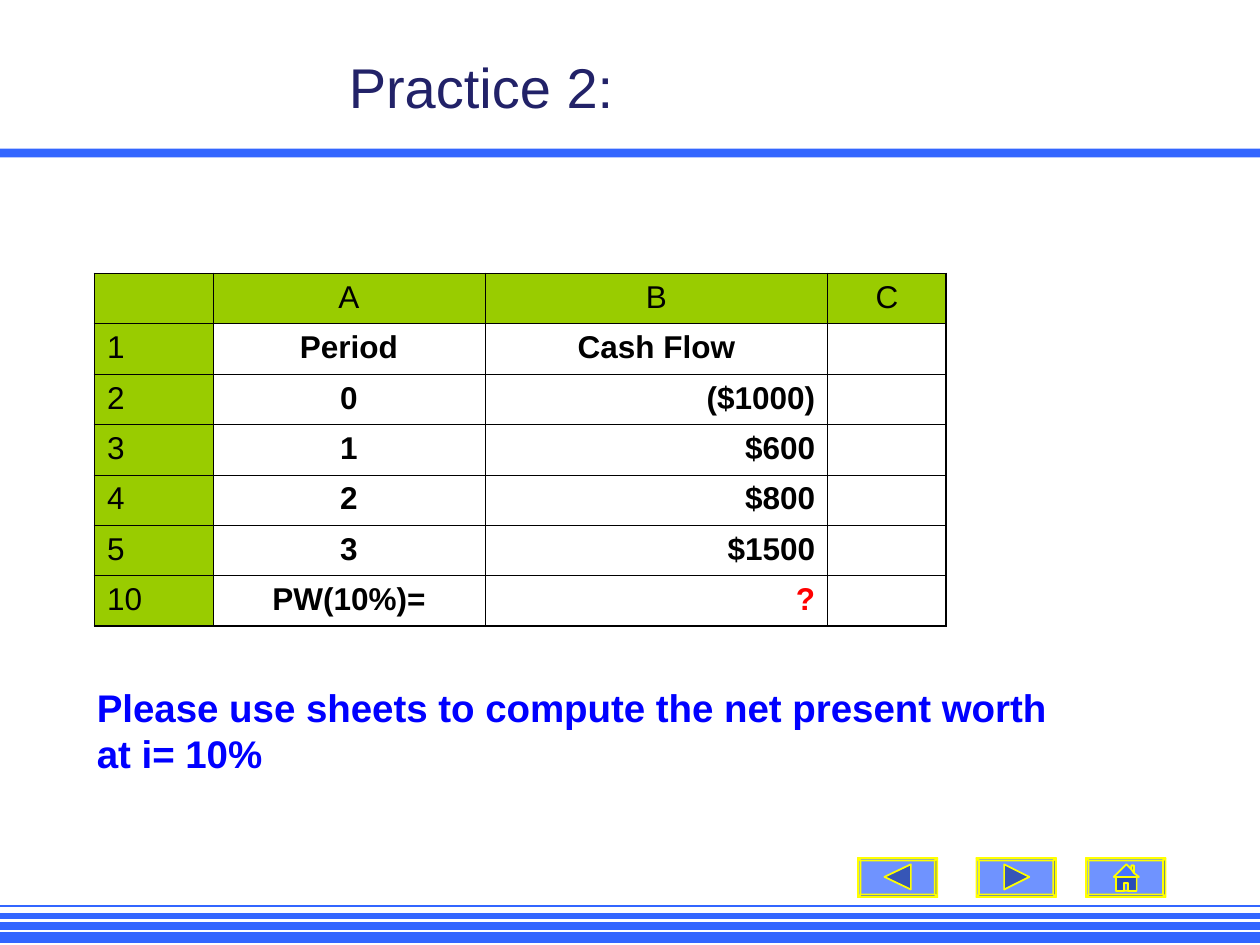
from copy import deepcopy

from lxml import etree
from pptx import Presentation
from pptx.dml.color import RGBColor
from pptx.enum.shapes import MSO_CONNECTOR as Connector, MSO_SHAPE as Shape
from pptx.enum.text import MSO_ANCHOR as Anchor, PP_ALIGN as Align
from pptx.oxml.ns import qn
from pptx.util import Inches, Pt

BLUE = RGBColor(0x33, 0x66, 0xFF)
YELLOW = RGBColor(0xFF, 0xFF, 0x00)
GREEN = RGBColor(0x99, 0xCC, 0x00)
NAVY = RGBColor(0x22, 0x22, 0x68)
TEXT_BLUE = RGBColor(0x00, 0x00, 0xFF)
BLACK = RGBColor(0x00, 0x00, 0x00)
RED = RGBColor(0xFF, 0x00, 0x00)

deck = Presentation()
deck.slide_width, deck.slide_height = Inches(10), Inches(7.5)
page = deck.slides.add_slide(deck.slide_layouts[6])
COL = deck.slide_width // 100
ROW = deck.slide_height // 75


def grid(left, top, width, height):
    return [round(n) for n in (left * COL, top * ROW, width * COL, height * ROW)]


def add_text(place, lines, size, color, bold, anchor):
    box = page.shapes.add_textbox(*grid(*place))
    frame = box.text_frame
    frame.word_wrap = True
    frame.vertical_anchor = anchor
    frame.text = "\n".join(lines)
    for para in frame.paragraphs:
        para.font.name, para.font.size = "Arial", Pt(size)
        para.font.bold, para.font.color.rgb = bold, color


# Bar under the title
bar = page.shapes.add_shape(Shape.RECTANGLE, *grid(0, 11.8, 100, 0.7))
bar.shadow.inherit = False
bar.fill.solid()
bar.fill.fore_color.rgb = BLUE
bar.line.fill.background()

# Footer stripes
for top, weight in ((74.4, 6), (73.5, 4.5), (72.7, 3), (71.9, 1.5)):
    y = round(top * ROW)
    stripe = page.shapes.add_connector(Connector.STRAIGHT, 0, y, deck.slide_width, y)
    stripe.line.color.rgb, stripe.line.width = BLUE, Pt(weight)
    etree.SubElement(stripe._element.spPr, qn("a:effectLst"))

# Navigation buttons: bevelled frame plus icon, in tenths of a grid unit
WIDE, TALL, RIM = 63, 31, 2
outer = [(0, 0), (WIDE, 0), (WIDE, TALL), (0, TALL)]
inner = [(RIM, RIM), (WIDE - RIM, RIM), (WIDE - RIM, TALL - RIM), (RIM, TALL - RIM)]
frame_parts = [(outer, "norm")]
for side, shade in enumerate(("lightenLess", "darken", "darkenLess", "lighten")):
    after = (side + 1) % 4
    frame_parts.append(([outer[side], outer[after], inner[after], inner[side]], shade))

back_icon = [([(21, 15), (42, 5), (42, 25)], "darken")]
next_icon = [([(22, 5), (42, 15), (22, 25)], "darken")]
chimney = [(36, 9), (36, 6), (38, 6), (38, 12)]
home_icon = [
    ([(32, 5), *chimney, (42, 15), (40, 15), (40, 26), (24, 26), (24, 15), (22, 15)], "norm"),
    (chimney, "darkenLess"),
    ([(30, 20), (33, 20), (33, 26), (40, 26), (40, 15), (24, 15), (24, 26), (30, 26)], "darken"),
]
BUTTON_TOP = 681
for left, icon in ((775, next_icon), (681, back_icon), (862, home_icon)):
    parts = frame_parts + icon
    builder = page.shapes.build_freeform(*parts[0][0][0], scale=COL / 10)
    for number, (points, shade) in enumerate(parts):
        if number:
            builder.move_to(*points[0])
        builder.add_line_segments(points[1:], close=True)
    button = builder.convert_to_shape(left * COL // 10, BUTTON_TOP * ROW // 10)
    button.shadow.inherit = False
    button.fill.solid()
    button.fill.fore_color.rgb = BLUE
    color = button._element.spPr.find(".//" + qn("a:srgbClr"))
    etree.SubElement(color, qn("a:alpha"), val="70000")
    button.line.color.rgb, button.line.width = YELLOW, Pt(1)

    # One path per part, so that each part has its own shade
    joined = button._element.spPr.find(".//" + qn("a:path"))
    path_list = joined.getparent()
    blank = deepcopy(joined)
    for child in list(blank):
        blank.remove(child)
    shades = iter([shade for points, shade in parts])
    for step in list(joined):
        if step.tag == qn("a:moveTo"):
            part = deepcopy(blank)
            part.set("fill", next(shades))
            path_list.append(part)
        part.append(step)
    path_list.remove(joined)

# Cash flow table
rows = [
    ("", "A", "B", "C"),
    ("1", "Period", "Cash Flow", ""),
    ("2", "0", "($1000)", ""),
    ("3", "1", "$600", ""),
    ("4", "2", "$800", ""),
    ("5", "3", "$1500", ""),
    ("10", "PW(10%)=", "?", ""),
]
widths = (9.4, 21.6, 27.2, 9.4)
table = page.shapes.add_table(len(rows), len(widths), *grid(7.5, 21.7, sum(widths), 28)).table
table.first_row = table.horz_banding = False
for column, width in zip(table.columns, widths):
    column.width = round(width * COL)
for r, values in enumerate(rows):
    table.rows[r].height = 4 * ROW
    for c, value in enumerate(values):
        cell = table.cell(r, c)
        header = r == 0 or c == 0
        edges = {"L": c == 0, "R": c == len(widths) - 1, "T": r == 0, "B": r == len(rows) - 1}
        props = cell._tc.get_or_add_tcPr()
        for edge, outside in edges.items():
            weight = Pt(1.08 if outside else 0.45)
            border = etree.SubElement(props, qn("a:ln" + edge), w=str(weight))
            paint = etree.SubElement(border, qn("a:solidFill"))
            etree.SubElement(paint, qn("a:srgbClr"), val=str(BLACK))
        if header:
            cell.fill.solid()
            cell.fill.fore_color.rgb = GREEN
        else:
            cell.fill.background()
        cell.text = value
        para = cell.text_frame.paragraphs[0]
        if r > 0 and c == 0:
            para.alignment = Align.LEFT
        elif r > 1 and c == 2:
            para.alignment = Align.RIGHT
        else:
            para.alignment = Align.CENTER
        para.font.name, para.font.size = "Arial", Pt(18)
        para.font.bold = not header
        para.font.color.rgb = RED if value == "?" else BLACK

# Title and task
add_text((26.7, 0.6, 90, 12.5), ["Practice 2:"], 32, NAVY, False, Anchor.MIDDLE)
task = ["Please use sheets to compute the net present worth", "at i= 10%"]
add_text((6.7, 53.8, 89.2, 8.4), task, 22, TEXT_BLUE, True, Anchor.TOP)

deck.save("out.pptx")
